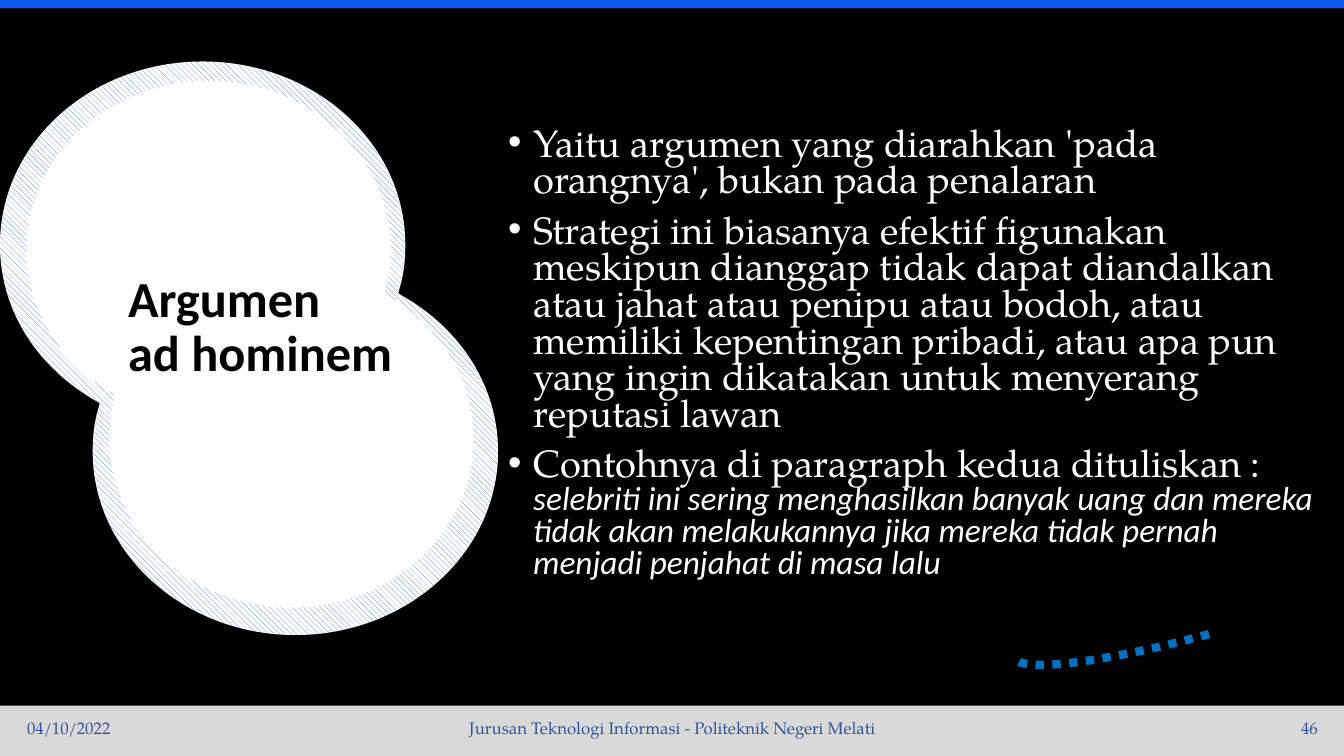
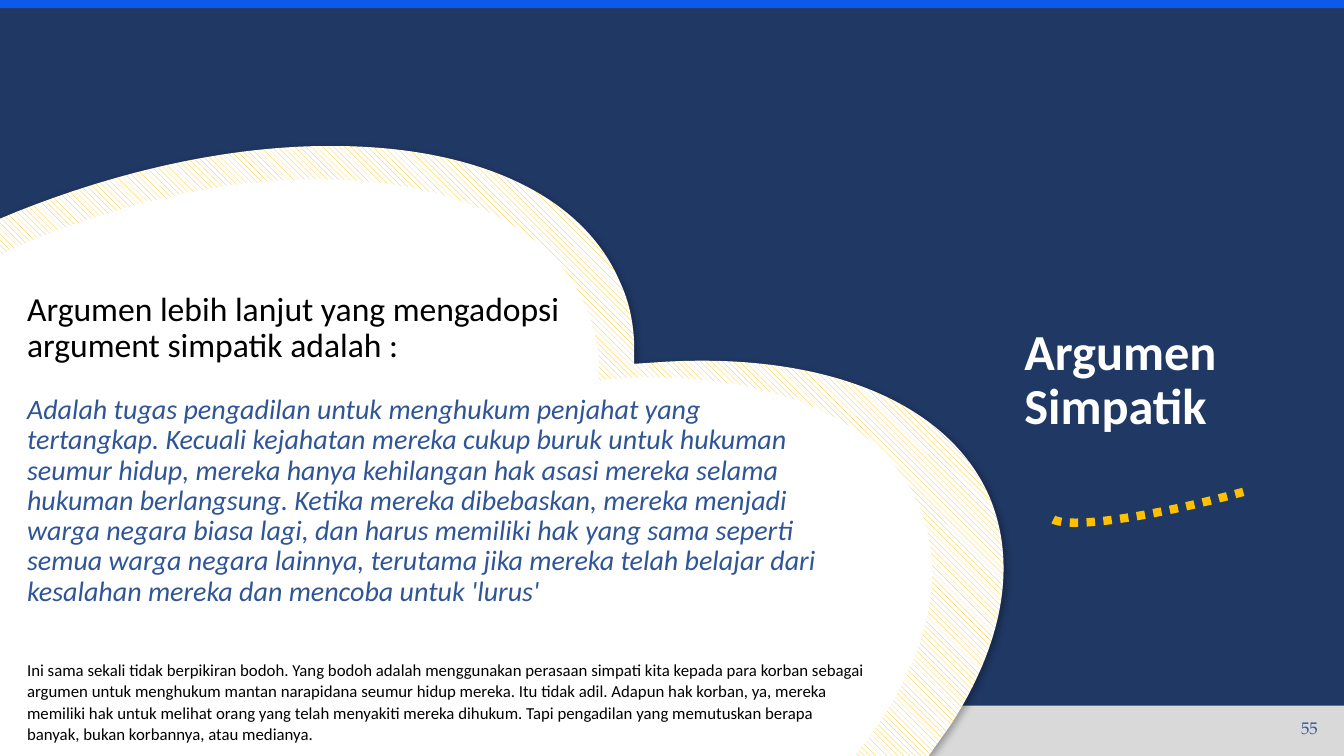
"""Build two slides on kinds of argument, each with a hatched cloud behind its text."""
import dataclasses

import lxml.etree
import pptx
import pptx.dml.color
import pptx.enum.dml
import pptx.enum.shapes
import pptx.enum.text
import pptx.oxml.ns
import pptx.util


@dataclasses.dataclass(frozen=True)
class Theme:
    sans: str = "Calibri"
    serif: str = "TeX Gyre Pagella"
    black: str = "000000"
    white: str = "FFFFFF"
    navy: str = "203864"
    ink: str = "2F5597"
    grey: str = "D9D9D9"
    band: str = "0B5AEC"
    hatch_blue: str = "4472C4"
    arc_blue: str = "0070C0"
    gold: str = "FFC000"
    title: float = 36
    bullet: float = 27.2
    example: float = 23.8
    lead: float = 24
    quote: float = 20
    small: float = 12


T = Theme()
RGB = pptx.dml.color.RGBColor.from_string
Inches, Pt = pptx.util.Inches, pptx.util.Pt
SHAPE = pptx.enum.shapes.MSO_SHAPE
ALIGN = pptx.enum.text.PP_ALIGN
ANCHOR = pptx.enum.text.MSO_ANCHOR
FIT = pptx.enum.text.MSO_AUTO_SIZE
qn = pptx.oxml.ns.qn


def write(sp, box, paragraphs, frame):
    """Place a text shape and fill it with formatted paragraphs of runs."""
    sp.left, sp.top, sp.width, sp.height = map(Inches, box)
    tf = sp.text_frame
    for name, value in {"word_wrap": True, "auto_size": FIT.NONE, **frame}.items():
        setattr(tf, name, value)
    for i, (runs, layout) in enumerate(paragraphs):
        p = tf.paragraphs[0] if i == 0 else tf.add_paragraph()
        for name, value in layout.items():
            if name != "bullet":
                setattr(p, name, value)
        if "bullet" in layout:
            pPr = p._p.get_or_add_pPr()
            pPr.set("marL", str(Inches(0.25)))
            pPr.set("indent", str(-Inches(0.25)))
            lxml.etree.SubElement(pPr, qn("a:buFont")).set("typeface", "Arial")
            lxml.etree.SubElement(pPr, qn("a:buChar")).set("char", layout["bullet"])
        for text, face, size, color, style in runs:
            for j, line in enumerate(text.split("\n")):
                if j:
                    p.add_line_break()
                r = p.add_run()
                r.text = line
                font = {"name": face, "size": Pt(size), "bold": False, "italic": False, **style}
                for name, value in font.items():
                    setattr(r.font, name, value)
                r.font.color.rgb = RGB(color)


def draw_cloud(s, outline):
    """Draw a closed outline of line ends and Bezier triples, in inches."""
    start, *steps = outline
    points = [step[k:k + 2] for step in steps for k in range(0, len(step), 2)]
    builder = s.shapes.build_freeform(*map(Inches, start))
    builder.add_line_segments([tuple(map(Inches, point)) for point in points])
    sp = builder.convert_to_shape()
    sp.shadow.inherit = False
    lines = iter(list(sp.element.iter(qn("a:lnTo"))))
    for step in steps:
        segment = next(lines)
        if len(step) == 6:
            segment.addprevious(lxml.etree.Element(qn("a:cubicBezTo")))
            curve = segment.getprevious()
            for part in (segment, next(lines), next(lines)):
                curve.append(part[0])
                part.getparent().remove(part)
    return sp


bullet = {"line_spacing": 0.8, "space_before": Pt(10), "bullet": "•"}
tight = {"line_spacing": 0.9}
italic = {"italic": True}

slides = [
    {
        "title": "Argumen \nad hominem",
        "title_box": (1.17, 0.08, 4.52, 6.35),
        "title_color": T.black,
        "background": T.black,
        "hatch": T.hatch_blue,
        "arc": (10, 5.73, T.arc_blue),
        "number": "46",
        "outer": [
            (2.01, 0.61), (3.12, 0.61, 4.02, 1.42, 4.02, 2.43), (4.02, 2.56, 4.01, 2.68, 3.98, 2.8),
            (3.95, 2.91), (4.05, 2.97), (4.59, 3.3, 4.94, 3.85, 4.94, 4.48),
            (4.94, 5.48, 4.04, 6.3, 2.93, 6.3), (1.82, 6.3, 0.92, 5.48, 0.92, 4.48),
            (0.92, 4.35, 0.93, 4.23, 0.96, 4.11), (0.99, 4), (0.89, 3.94),
            (0.35, 3.61, 0, 3.06, 0, 2.43), (0, 1.42, 0.9, 0.61, 2.01, 0.61),
        ],
        "inner": [
            (2.07, 0.81), (3.06, 0.81, 3.87, 1.56, 3.87, 2.48), (3.87, 2.59, 3.85, 2.71, 3.83, 2.81),
            (3.8, 2.92), (3.89, 2.97), (4.37, 3.27, 4.69, 3.78, 4.69, 4.35),
            (4.69, 5.27, 3.88, 6.02, 2.89, 6.02), (1.9, 6.02, 1.09, 5.27, 1.09, 4.35),
            (1.09, 4.24, 1.1, 4.13, 1.13, 4.02), (1.16, 3.91), (1.06, 3.86),
            (0.59, 3.56, 0.27, 3.05, 0.27, 2.48), (0.27, 1.56, 1.08, 0.81, 2.07, 0.81),
        ],
        "texts": [
            ((4.94, 1.22, 8.21, 4.87), [
                ([("Yaitu argumen yang diarahkan 'pada orangnya', bukan pada penalaran",
                   T.serif, T.bullet, T.white, {})], bullet),
                ([("Strategi ini biasanya efektif figunakan meskipun dianggap tidak dapat diandalkan "
                   "atau jahat atau penipu atau bodoh, atau memiliki kepentingan pribadi, atau apa pun "
                   "yang ingin dikatakan untuk menyerang reputasi lawan",
                   T.serif, T.bullet, T.white, {})], bullet),
                ([("Contohnya di paragraph kedua dituliskan : ", T.serif, T.bullet, T.white, {}),
                  ("selebriti ini sering menghasilkan banyak uang dan mereka tidak akan melakukannya "
                   "jika mereka tidak pernah menjadi penjahat di masa lalu",
                   T.sans, T.example, T.white, italic)], bullet),
            ], {}),
        ],
    },
    {
        "title": "Argumen Simpatik",
        "title_box": (10.06, 0.58, 3.18, 6.4),
        "title_color": T.white,
        "background": T.navy,
        "hatch": T.gold,
        "arc": (10.34, 4.32, T.gold),
        "number": "55",
        "outer": [
            (3.39, 1.45), (4.73, 1.47, 5.78, 1.93, 6.15, 2.8), (6.24, 2.99, 6.28, 3.19, 6.29, 3.4),
            (6.29, 3.61), (6.59, 3.59), (8.15, 3.5, 9.39, 3.97, 9.81, 4.92),
            (10.1, 5.6, 9.94, 6.4, 9.43, 7.19), (9.21, 7.5), (0, 7.5), (0, 2.17),
            (0.17, 2.1), (1.3, 1.65, 2.42, 1.43, 3.39, 1.45),
        ],
        "inner": [
            (3.31, 1.79), (4.51, 1.82, 5.46, 2.25, 5.8, 3.04), (5.88, 3.21, 5.92, 3.4, 5.93, 3.59),
            (5.93, 3.78), (6.2, 3.76), (7.6, 3.7, 8.72, 4.13, 9.1, 5.01),
            (9.41, 5.71, 9.18, 6.56, 8.56, 7.38), (8.46, 7.5), (0, 7.5), (0, 2.54),
            (0.19, 2.45), (1.28, 1.98, 2.37, 1.76, 3.31, 1.79),
        ],
        "texts": [
            ((0.17, 2.85, 8.21, 4.83), [
                ([("Argumen lebih lanjut yang mengadopsi", T.sans, T.lead, T.black, {})], tight),
                ([("argument simpatik adalah :", T.sans, T.lead, T.black, {})], tight),
                ([("Adalah tugas pengadilan untuk menghukum penjahat yang tertangkap. Kecuali kejahatan "
                   "mereka cukup buruk untuk hukuman seumur hidup, mereka hanya kehilangan hak asasi "
                   "mereka selama hukuman berlangsung. Ketika mereka dibebaskan, mereka menjadi warga "
                   "negara biasa lagi, dan harus memiliki hak yang sama seperti semua warga negara "
                   "lainnya, terutama jika mereka telah belajar dari kesalahan mereka dan mencoba "
                   "untuk 'lurus'", T.sans, T.quote, T.ink, italic)],
                 {**tight, "space_before": Pt(22)}),
            ], {}),
            ((0.17, 6.48, 8.51, 0.96), [
                ([("Ini sama sekali tidak berpikiran bodoh. Yang bodoh adalah menggunakan perasaan "
                   "simpati kita kepada para korban sebagai argumen untuk menghukum mantan narapidana "
                   "seumur hidup mereka. Itu tidak adil. Adapun hak korban, ya, mereka memiliki hak "
                   "untuk melihat orang yang telah menyakiti mereka dihukum. Tapi pengadilan yang "
                   "memutuskan berapa banyak, bukan korbannya, atau medianya.",
                   T.sans, T.small, T.black, {})],
                 {"line_spacing": 1.07, "space_after": Pt(8)}),
            ], {"auto_size": FIT.SHAPE_TO_FIT_TEXT}),
        ],
    },
]

prs = pptx.Presentation()
prs.slide_width, prs.slide_height = Inches(13.33), Inches(7.5)
title_only = prs.slide_layouts[5]

for index, content in enumerate(slides):
    s = prs.slides.add_slide(title_only)
    s.background.fill.solid()
    s.background.fill.fore_color.rgb = RGB(content["background"])

    if index == 0:
        for n, (top, height, color) in enumerate([(7, 0.5, T.grey), (0, 0.08, T.band)]):
            band = s.shapes.add_shape(SHAPE.RECTANGLE, 0, Inches(top), prs.slide_width, Inches(height))
            band.shadow.inherit = False
            band.fill.solid()
            band.fill.fore_color.rgb = RGB(color)
            band.line.fill.background()
            band.element.nvSpPr.cNvPr.set("id", str(101 + n))
            prs.slide_master.shapes.element.insert(2 + n, band.element)

    for text, left, width, alignment in [
        ("04/10/2022", 0.17, 3, ALIGN.LEFT),
        ("Jurusan Teknologi Informasi - Politeknik Negeri Melati", 3.17, 7, ALIGN.CENTER),
        (content["number"], 10.17, 3, ALIGN.RIGHT),
    ]:
        write(s.shapes.add_textbox(0, 0, 0, 0), (left, 7.02, width, 0.4),
              [([(text, T.serif, T.small, T.ink, {})], {"alignment": alignment})],
              {"vertical_anchor": ANCHOR.MIDDLE})

    outer = draw_cloud(s, content["outer"])
    outer.fill.patterned()
    outer.fill.pattern = pptx.enum.dml.MSO_PATTERN.WIDE_DOWNWARD_DIAGONAL
    outer.fill.fore_color.rgb = RGB(content["hatch"])
    outer.fill.back_color.rgb = RGB(T.white)
    outer.line.fill.background()
    effects = outer.element.spPr.find(qn("a:effectLst"))
    shadow = lxml.etree.SubElement(effects, qn("a:outerShdw"))
    for name, value in {"blurRad": Pt(4.5), "dist": Pt(2.6), "dir": 53 * 60000, "rotWithShape": 0}.items():
        shadow.set(name, str(int(value)))
    shade = lxml.etree.SubElement(shadow, qn("a:srgbClr"))
    shade.set("val", T.black)
    lxml.etree.SubElement(shade, qn("a:alpha")).set("val", "30000")

    inner = draw_cloud(s, content["inner"])
    inner.fill.solid()
    inner.fill.fore_color.rgb = RGB(T.white)
    inner.line.color.rgb = RGB(T.white)
    inner.line.width = Pt(1)

    title = s.shapes.title
    s.shapes.element.append(title.element)
    write(title, content["title_box"],
          [([(content["title"], T.sans, T.title, content["title_color"], {"bold": True})],
            {**tight, "alignment": ALIGN.LEFT})],
          {"vertical_anchor": ANCHOR.MIDDLE})

    left, top, color = content["arc"]
    arc = s.shapes.add_shape(SHAPE.ARC, Inches(left), Inches(top), Inches(3.83), Inches(0.57))
    arc.rotation = 164.5
    arc.shadow.inherit = False
    arc.fill.background()
    arc.line.color.rgb = RGB(color)
    arc.line.width = Pt(6)
    arc.line.dash_style = pptx.enum.dml.MSO_LINE.ROUND_DOT

    for box, paragraphs, frame in content["texts"]:
        write(s.shapes.add_textbox(0, 0, 0, 0), box, paragraphs, frame)

prs.save("out.pptx")
